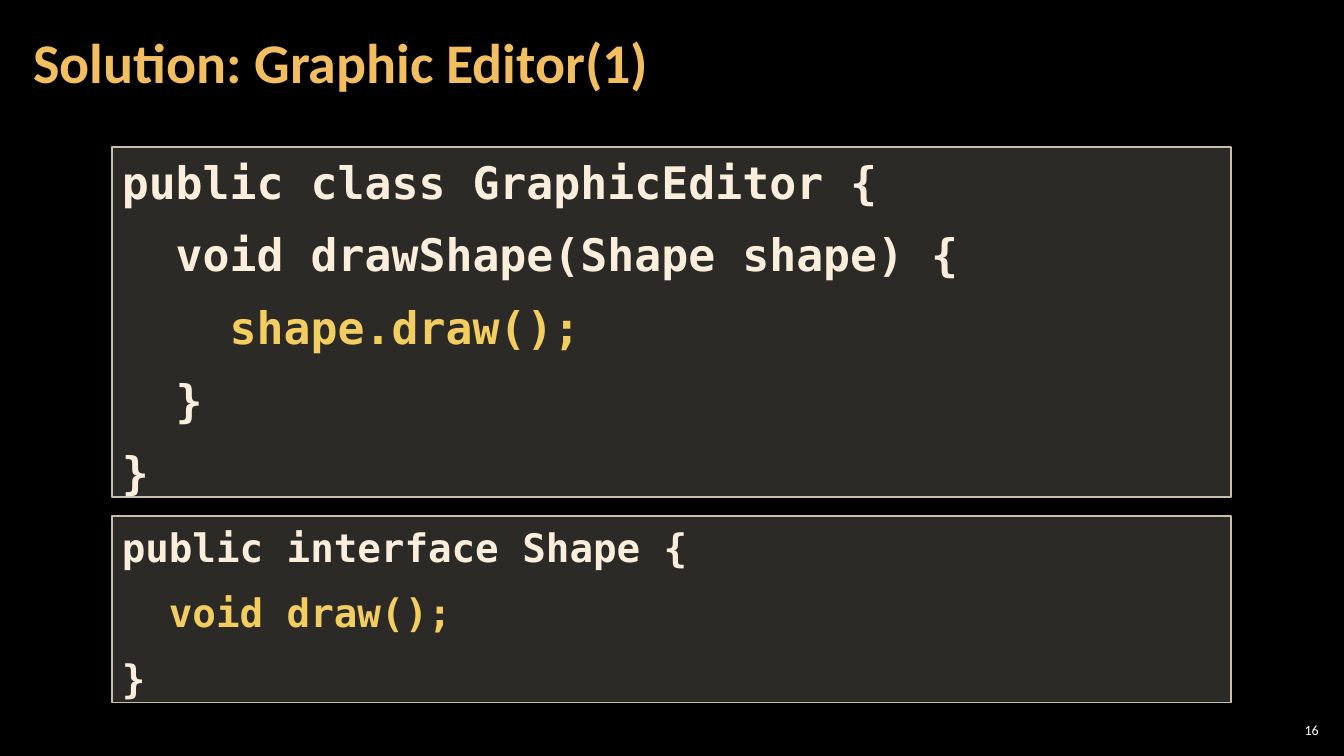
from dataclasses import dataclass

from lxml.etree import SubElement
from pptx import Presentation
from pptx.dml.color import RGBColor
from pptx.enum.shapes import MSO_SHAPE
from pptx.enum.text import MSO_ANCHOR, PP_ALIGN
from pptx.oxml.ns import qn
from pptx.util import Inches, Pt


@dataclass(frozen=True)
class Theme:
    background: RGBColor = RGBColor.from_string("000000")
    title: RGBColor = RGBColor.from_string("F3BE60")
    number: RGBColor = RGBColor.from_string("FFFFFF")
    code: RGBColor = RGBColor.from_string("FBEEDC")
    highlight: RGBColor = RGBColor.from_string("F3CD60")
    panel: RGBColor = RGBColor.from_string("D9D5C7")
    border: RGBColor = RGBColor.from_string("C7BFAC")
    text_font: str = "Calibri"
    code_font: str = "DejaVu Sans Mono"
    title_size: int = 40
    number_size: int = 10
    class_size: int = 32
    interface_size: int = 28


theme = Theme()


def style(font, name, size, color, bold):
    font.name = name
    font.size = Pt(size)
    font.color.rgb = color
    font.bold = bold


def add_label(page, text, place, inset, size, color, bold, align):
    box = page.shapes.add_textbox(*map(Inches, place))
    frame = box.text_frame
    frame.word_wrap = True
    frame.vertical_anchor = MSO_ANCHOR.MIDDLE
    frame.margin_left = frame.margin_right = Inches(inset)
    frame.margin_top = frame.margin_bottom = Inches(0.04)
    para = frame.paragraphs[0]
    para.text = text
    para.alignment = align
    para.line_spacing = 0.9 if bold else 1.0
    style(para.font, theme.text_font, size, color, bold)


deck = Presentation()
deck.slide_width = Inches(13.33)
deck.slide_height = Inches(7.5)
page = deck.slides.add_slide(deck.slide_layouts[6])
page.background.fill.solid()
page.background.fill.fore_color.rgb = theme.background

add_label(page, "16", (12.65, 7.14, 0.47, 0.21), 0.04,
          theme.number_size, theme.number, False, PP_ALIGN.RIGHT)
add_label(page, "Solution: Graphic Editor(1)", (0.21, 0.04, 10.47, 1.21), 0.12,
          theme.title_size, theme.title, True, PP_ALIGN.LEFT)

class_code = """public class GraphicEditor {
  void drawShape(Shape shape) {
    shape.draw();
  }
}"""
interface_code = """public interface Shape {
  void draw();
}"""
panels = [
    (1.46, 3.47, theme.class_size, class_code),
    (5.12, 1.85, theme.interface_size, interface_code),
]
highlighted = {"shape.draw();", "void draw();"}

for top, height, size, code in panels:
    panel = page.shapes.add_shape(MSO_SHAPE.RECTANGLE, Inches(1.11), Inches(top),
                                  Inches(11.1), Inches(height))
    panel.shadow.inherit = False
    panel.fill.solid()
    panel.fill.fore_color.rgb = theme.panel
    tint = panel.fill._xPr.find(qn("a:solidFill"))[0]
    SubElement(tint, qn("a:alpha")).set("val", "20000")
    panel.line.color.rgb = theme.border
    panel.line.width = Pt(1)

    frame = panel.text_frame
    frame.word_wrap = True
    frame.vertical_anchor = MSO_ANCHOR.TOP
    for index, line in enumerate(code.splitlines()):
        para = frame.add_paragraph() if index else frame.paragraphs[0]
        para.text = line
        para.alignment = PP_ALIGN.LEFT
        para.space_before = Pt(12)
        para.line_spacing = 1.04
        color = theme.highlight if line.strip() in highlighted else theme.code
        style(para.font, theme.code_font, size, color, True)

deck.save("out.pptx")
